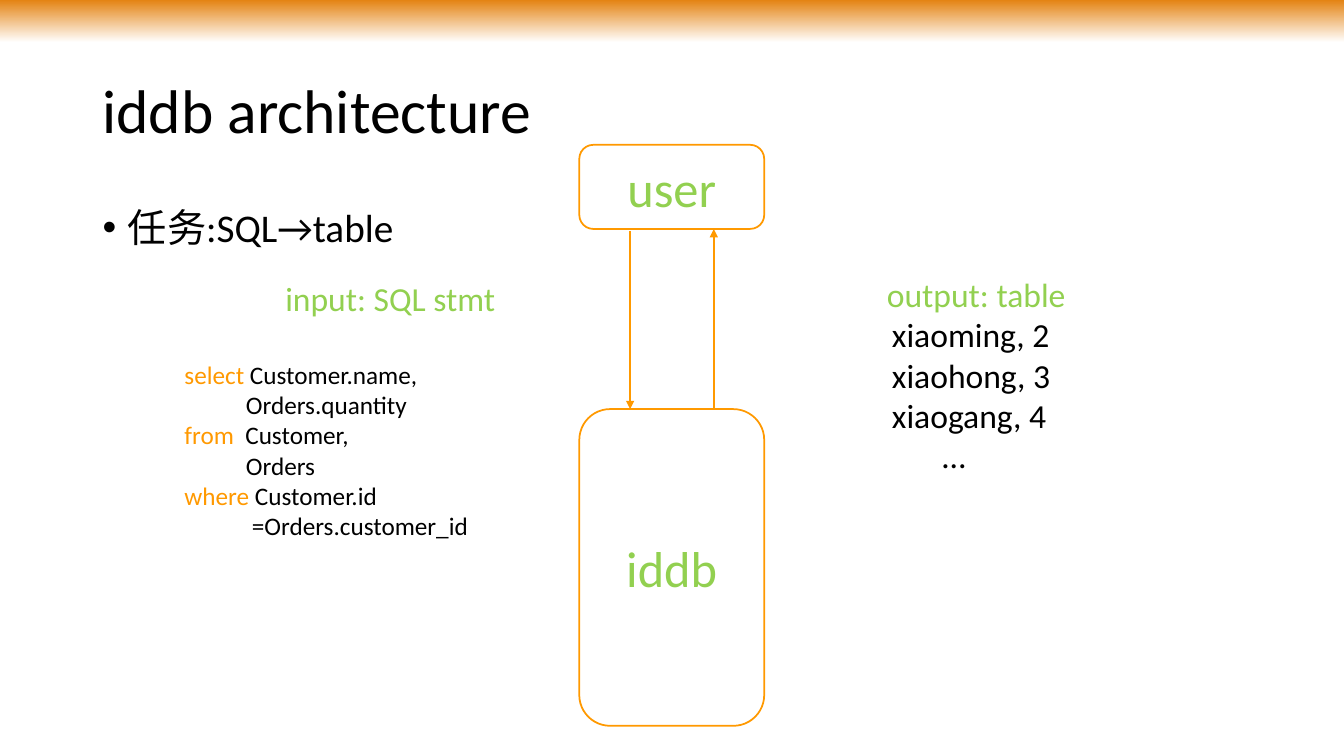
from lxml.etree import SubElement
from pptx import Presentation
from pptx.dml.color import RGBColor as Rgb
from pptx.enum.shapes import MSO_CONNECTOR as Link, MSO_SHAPE as Kind
from pptx.enum.text import MSO_ANCHOR as Anchor, MSO_AUTO_SIZE as Fit, PP_ALIGN as Align
from pptx.oxml.ns import qn
from pptx.util import Cm, Pt

COLORS = {"bar": "E48312", "white": "FFFFFF", "black": "000000",
          "line": "FF9900", "green": "92D050"}
FONT = "Calibri"

# Each line: indent in cm, size, then (text, colour) runs
QUERY = [
    (2.54, 24, [("input: SQL stmt", "green")]),
    (0, 18, [("select ", "line"), ("Customer.name,", "black")]),
    (1.55, 18, [("Orders.quantity", "black")]),
    (0, 18, [("from ", "line"), (" Customer,", "black")]),
    (1.55, 18, [("Orders", "black")]),
    (0, 18, [("where ", "line"), ("Customer.id", "black")]),
    (1.7, 18, [("=Orders.customer_id", "black")]),
]
RESULT = [
    (3.68, 24, [("output: table", "green")]),
    (3.81, 24, [("xiaoming, 2", "black")]),
    (3.81, 24, [("xiaohong, 3", "black")]),
    (3.81, 24, [("xiaogang, 4", "black")]),
    (5.08, 24, [("…", "black")]),
]


def color(name):
    return Rgb.from_string(COLORS[name])


def style(font, size, name):
    font.name, font.size = FONT, Pt(size)
    font.color.rgb = color(name)


def indent(para, left, first=0):
    props = para._p.get_or_add_pPr()
    props.set("marL", str(Cm(left)))
    props.set("indent", str(Cm(first)))


def place(shape, left, top, width, height):
    shape.left, shape.top = Cm(left), Cm(top)
    shape.width, shape.height = Cm(width), Cm(height)


def add_bar(slide, width):
    bar = slide.shapes.add_shape(Kind.RECTANGLE, 0, 0, width, Cm(1.07))
    bar.shadow.inherit = False
    bar.line.fill.background()
    bar.fill.gradient()
    bar.fill.gradient_angle = 270
    for stop, name in zip(bar.fill.gradient_stops, ("bar", "white")):
        stop.color.rgb = color(name)
    slide.shapes.title.element.addprevious(bar.element)


def fill_holder(holder, text, size, box):
    place(holder, *box)
    frame = holder.text_frame
    frame.text = text
    frame.auto_size = Fit.NONE
    para = frame.paragraphs[0]
    para.alignment = Align.LEFT
    para.line_spacing = 0.9
    style(para.font, size, "black")
    return para


def add_node(slide, text, top, height):
    node = slide.shapes.add_shape(Kind.ROUNDED_RECTANGLE, Cm(14.6), Cm(top),
                                  Cm(4.66), Cm(height))
    node.shadow.inherit = False
    node.fill.solid()
    node.fill.fore_color.rgb = color("white")
    node.line.color.rgb = color("line")
    node.line.width = Pt(1.25)
    node.text_frame.text = text
    node.text_frame.vertical_anchor = Anchor.MIDDLE
    para = node.text_frame.paragraphs[0]
    para.alignment = Align.CENTER
    style(para.font, 36, "green")


def add_arrow(slide, x, start, end):
    arrow = slide.shapes.add_connector(Link.STRAIGHT, Cm(x), Cm(start), Cm(x), Cm(end))
    arrow.line.color.rgb = color("line")
    arrow.line.width = Pt(1.25)
    SubElement(arrow.line._get_or_add_ln(), qn("a:tailEnd"), type="triangle")
    SubElement(arrow.element.spPr, qn("a:effectLst"))


def add_text(slide, lines, box, gap=0):
    frame = slide.shapes.add_textbox(*map(Cm, box)).text_frame
    frame.word_wrap = True
    for i, (left, size, runs) in enumerate(lines):
        para = frame.add_paragraph() if i else frame.paragraphs[0]
        indent(para, left)
        style(para.font, size, runs[0][1])
        for text, name in runs:
            run = para.add_run()
            run.text = text
            if len(runs) > 1:
                run.font.color.rgb = color(name)
    frame.paragraphs[0].space_after = Pt(gap)


def main():
    deck = Presentation()
    deck.slide_width, deck.slide_height = Cm(33.87), Cm(19.05)
    slide = deck.slides.add_slide(deck.slide_layouts[1])

    # Top bar and title
    add_bar(slide, deck.slide_width)
    title = slide.shapes.title
    fill_holder(title, "iddb architecture", 44, (2.33, 1.01, 29.21, 3.68))
    title.text_frame.vertical_anchor = Anchor.MIDDLE

    # User and database, with arrows between them
    add_node(slide, "user", 3.65, 2.12)
    add_arrow(slide, 15.88, 5.82, 10.31)
    add_node(slide, "iddb", 10.31, 7.98)
    add_arrow(slide, 17.99, 10.31, 5.77)

    # Query and its result
    add_text(slide, QUERY, (4.4, 6.89, 11.05, 8.96), gap=29)
    add_text(slide, RESULT, (18.42, 6.78, 11.53, 6.4))

    # Task, in front
    body = slide.placeholders[1]
    task = fill_holder(body, "任务:SQL→table", 28, (2.33, 5.13, 29.21, 12.09))
    task.space_before = Pt(10)
    indent(task, 0.64, -0.64)
    body.element.getparent().append(body.element)

    deck.save("out.pptx")


if __name__ == "__main__":
    main()
